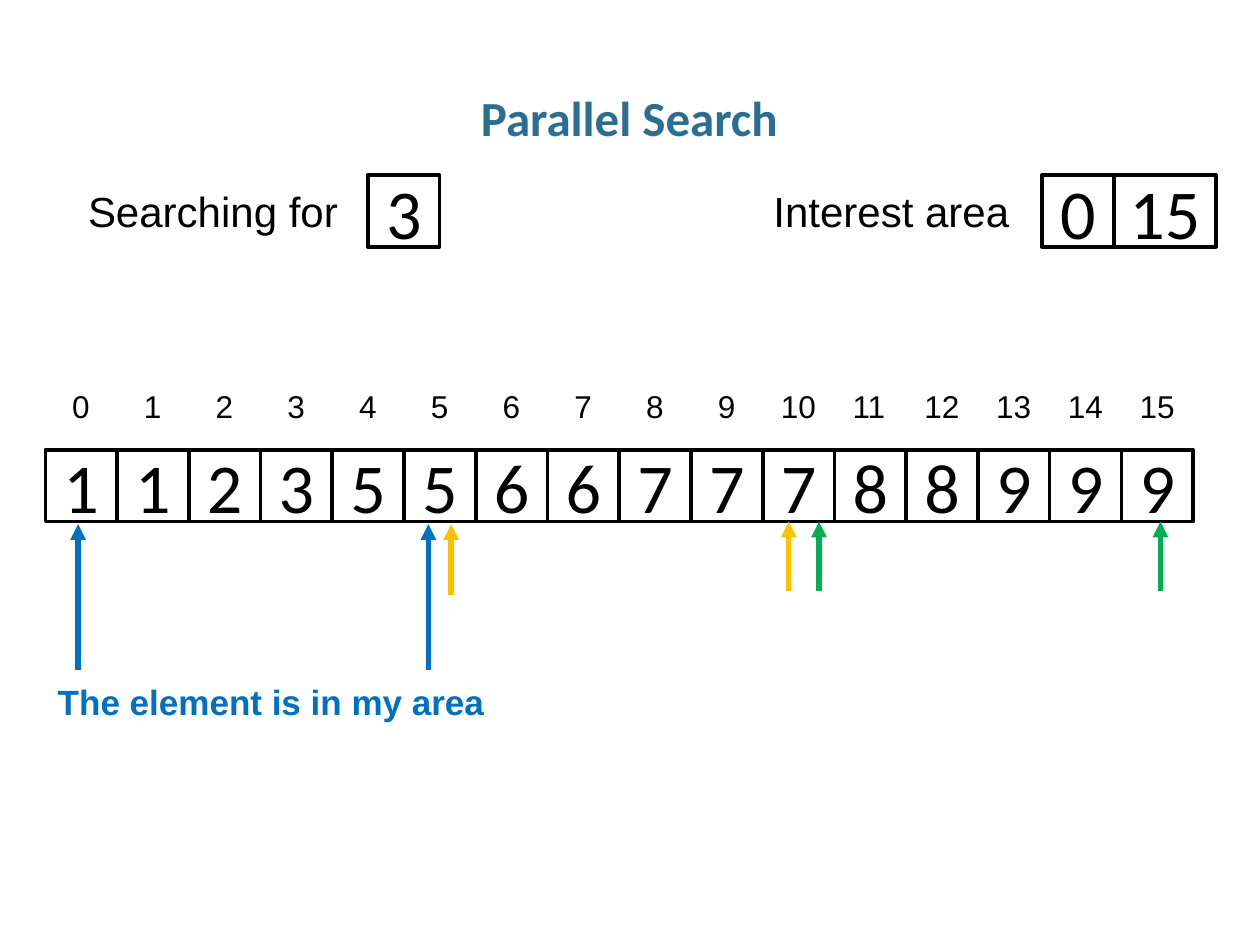
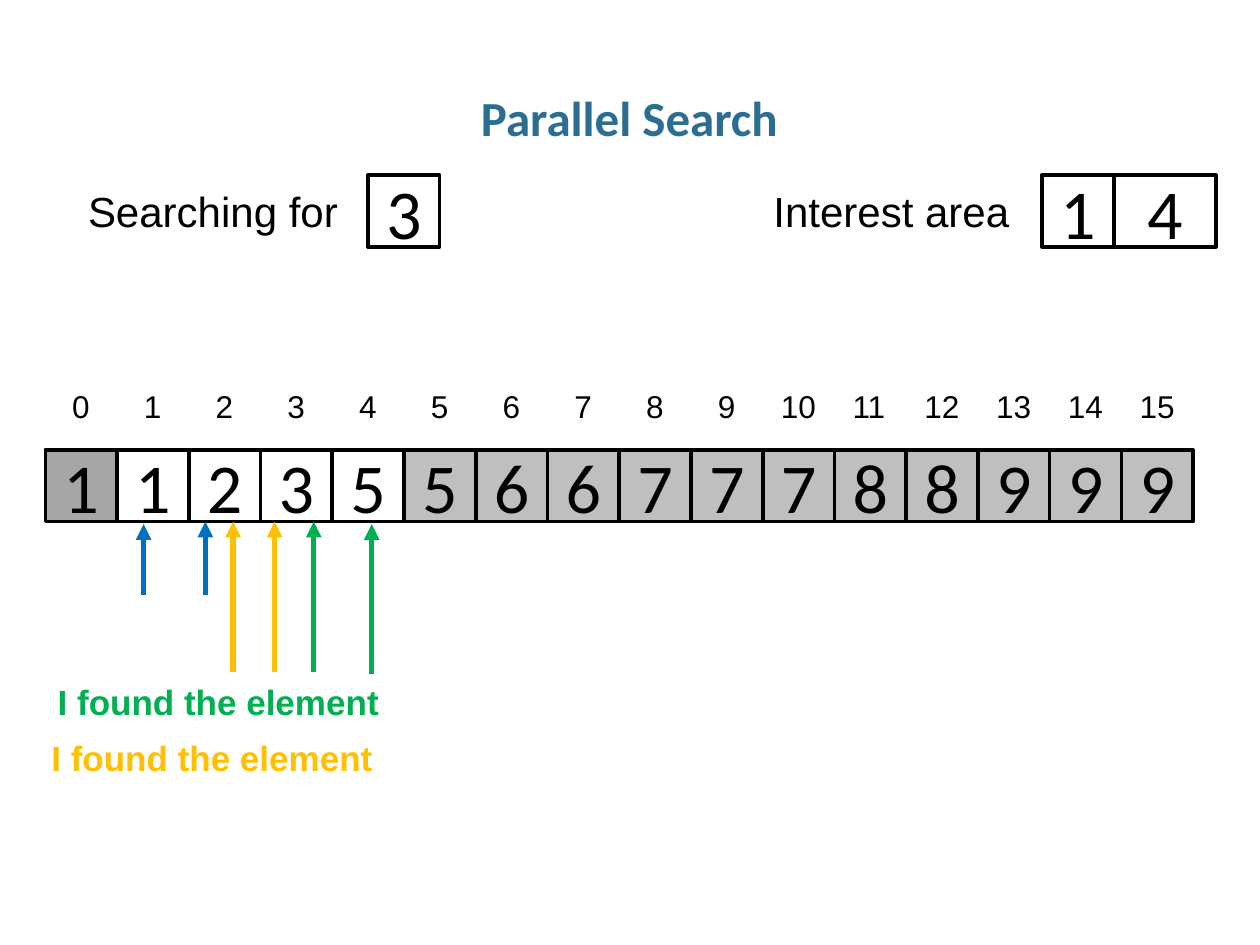
from lxml import etree
from pptx import Presentation
from pptx.dml.color import RGBColor
from pptx.enum.shapes import MSO_CONNECTOR, MSO_SHAPE
from pptx.enum.text import MSO_ANCHOR, MSO_AUTO_SIZE, PP_ALIGN
from pptx.oxml.ns import qn
from pptx.util import Inches, Pt

RECTANGLE = MSO_SHAPE.RECTANGLE
STRAIGHT = MSO_CONNECTOR.STRAIGHT
CENTER, LEFT = PP_ALIGN.CENTER, PP_ALIGN.LEFT
MIDDLE = MSO_ANCHOR.MIDDLE
FIT_SHAPE = MSO_AUTO_SIZE.SHAPE_TO_FIT_TEXT

COLORS = {
    "title": "2C6D92",
    "ink": "000000",
    "discarded": "BFBFBF",
    "discarded_dark": "A6A6A6",
    "blue": "0070C0",
    "yellow": "FFC000",
    "green": "00B050",
}
VALUES = [1, 1, 2, 3, 5, 5, 6, 6, 7, 7, 7, 8, 8, 9, 9, 9]
ARRAY_BOX = (0.36, 3.57, 9.11, 0.57)
HEADER_BOX = (0.6, 1.39, 9.05, 0.57)
MESSAGE_BOX = (0.36, 5.35)
CELL = 0.57

# Arrows are (colour, x, tail y, tip y); messages are (colour, dx, dy, width, text).
STEPS = [
    {
        "interest": (0, 15),
        "discarded": {},
        "arrows": [
            ("blue", 0.62, 5.32, 4.16), ("blue", 3.4, 5.32, 4.16),
            ("yellow", 3.58, 4.72, 4.16), ("yellow", 6.26, 4.69, 4.14),
            ("green", 6.5, 4.69, 4.14), ("green", 9.21, 4.69, 4.14),
        ],
        "messages": [("blue", 0, 0, 3.61, "The element is in my area")],
    },
    {
        "interest": (1, 4),
        "discarded": {0: "discarded_dark", **dict.fromkeys(range(5, 16), "discarded")},
        "arrows": [
            ("blue", 1.14, 4.72, 4.16), ("blue", 1.63, 4.72, 4.14),
            ("yellow", 1.85, 5.33, 4.14), ("yellow", 2.18, 5.33, 4.14),
            ("green", 2.49, 5.33, 4.14), ("green", 2.95, 5.35, 4.16),
        ],
        "messages": [
            ("green", 0, 0, 2.77, "I found the element"),
            ("yellow", -0.05, 0.45, 2.77, "I found the element"),
        ],
    },
]


def rgb(name):
    return RGBColor.from_string(COLORS[name])


def set_text(frame, text, size, font_name="Arial", color="ink", bold=False, align=LEFT):
    paragraph = frame.paragraphs[0]
    paragraph.text = str(text)
    paragraph.alignment = align
    font = paragraph.font
    font.name, font.size, font.bold = font_name, Pt(size), bold
    font.color.rgb = rgb(color)
    return paragraph


def add_label(slide, left, top, width, height, text, size, **style):
    """Add a single-line text box that fits its text."""
    text_box = slide.shapes.add_textbox(*map(Inches, (left, top, width, height)))
    text_box.text_frame.word_wrap = False
    text_box.text_frame.auto_size = FIT_SHAPE
    set_text(text_box.text_frame, text, size, **style)


def add_cell(slide, left, top, width, value, fill=None):
    cell = slide.shapes.add_shape(RECTANGLE, *map(Inches, (left, top, width, CELL)))
    cell.shadow.inherit = False
    if fill:
        cell.fill.solid()
        cell.fill.fore_color.rgb = rgb(fill)
    else:
        cell.fill.background()
    cell.line.color.rgb = rgb("ink")
    cell.line.width = Pt(2)
    cell.text_frame.vertical_anchor = MIDDLE
    set_text(cell.text_frame, value, 40, font_name="Calibri", align=CENTER)


def add_pointer(slide, color, x, tail_y, tip_y):
    pointer = slide.shapes.add_connector(STRAIGHT, *map(Inches, (x, tail_y, x, tip_y)))
    pointer.line.color.rgb = rgb(color)
    pointer.line.width = Pt(3)
    etree.SubElement(pointer.line._get_or_add_ln(), qn("a:tailEnd"), type="triangle")
    etree.SubElement(pointer._element.spPr, qn("a:effectLst"))


def add_title(slide, text):
    title = slide.shapes.add_textbox(Inches(0.34), Inches(0.68), Inches(9.31), Inches(0.5))
    frame = title.text_frame
    frame.word_wrap = True
    frame.margin_left = frame.margin_right = 0
    paragraph = set_text(frame, text, 28, font_name="Calibri", color="title",
                         bold=True, align=CENTER)
    paragraph.line_spacing = 0.95


def add_header(slide, box, target, interest):
    """Show the searched value on the left and the interest area on the right."""
    left, top, width, _ = box
    label_top = top + 0.03
    add_label(slide, left, label_top, 2.21, 0.5, "Searching for", 24)
    add_cell(slide, left + 2.32, top, CELL, target)

    last_width = 0.81
    last_left = left + width - last_width
    first_left = last_left - CELL
    add_label(slide, first_left - 2.23, label_top, 2.09, 0.5, "Interest area", 24)
    add_cell(slide, first_left, top, CELL, interest[0])
    add_cell(slide, last_left, top, last_width, interest[1])


def add_array(slide, box, discarded):
    """Draw the array cells with their indexes centred above them."""
    left, top, width, _ = box
    pitch = width / len(VALUES)
    for index, value in enumerate(VALUES):
        cell_left = left + index * pitch
        add_cell(slide, cell_left, top, pitch, value, discarded.get(index))
        label_width = 0.2 + 0.14 * len(str(index))
        label_left = cell_left + (pitch - label_width) / 2
        add_label(slide, label_left, top - 0.55, label_width, 0.4, index, 18)


def add_messages(slide, origin, messages):
    left, top = origin
    for color, dx, dy, width, text in messages:
        add_label(slide, left + dx, top + dy, width, 0.44, text, 20, color=color, bold=True)


def add_search_slide(presentation, step):
    slide = presentation.slides.add_slide(presentation.slide_layouts[6])
    add_title(slide, "Parallel Search")
    add_array(slide, ARRAY_BOX, step["discarded"])
    add_header(slide, HEADER_BOX, 3, step["interest"])
    for arrow in step["arrows"]:
        add_pointer(slide, *arrow)
    add_messages(slide, MESSAGE_BOX, step["messages"])


def main():
    presentation = Presentation()
    presentation.slide_width = Inches(10)
    presentation.slide_height = Inches(7.5)
    for step in STEPS:
        add_search_slide(presentation, step)
    presentation.save("out.pptx")


if __name__ == "__main__":
    main()
